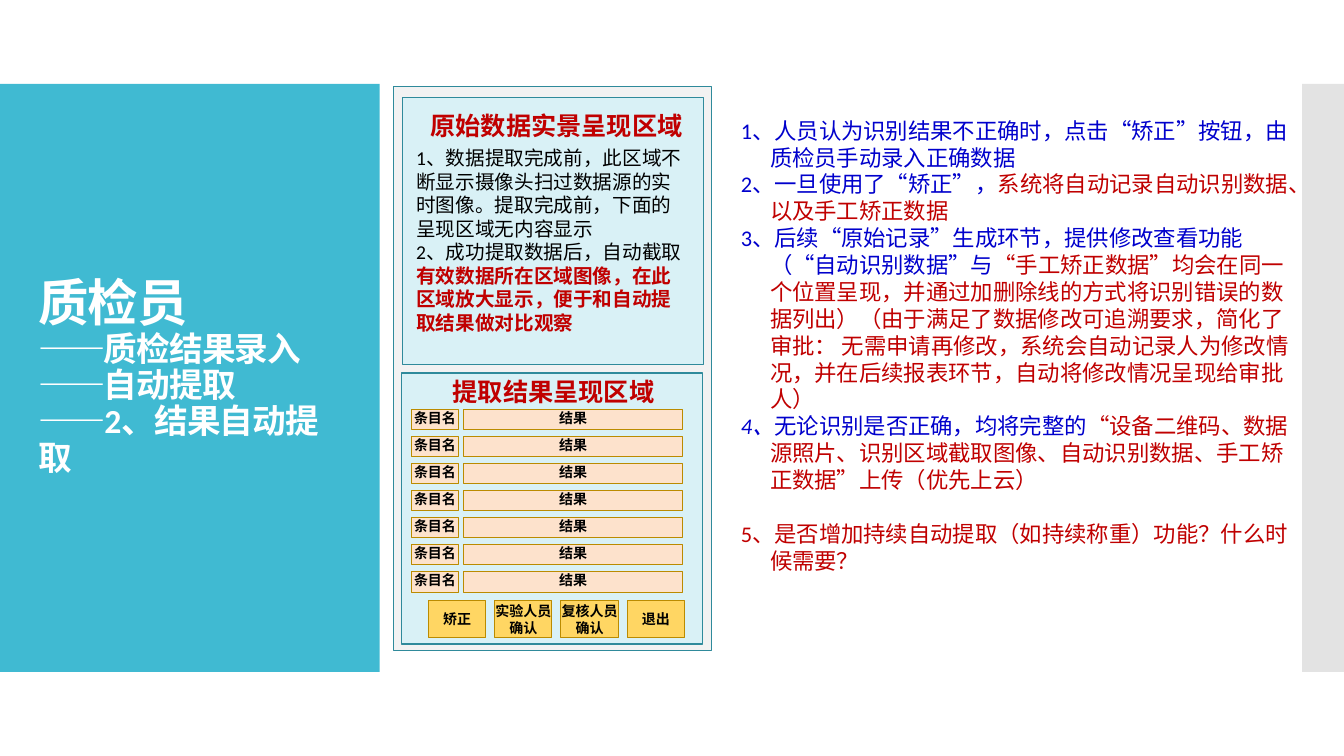
from dataclasses import dataclass

from lxml.etree import SubElement
from pptx import Presentation
from pptx.dml.color import RGBColor
from pptx.enum.shapes import MSO_SHAPE as Preset
from pptx.enum.text import MSO_ANCHOR as Anchor, PP_ALIGN as Align
from pptx.oxml.ns import qn
from pptx.util import Inches, Pt

FONT = "Calibri"
COLORS = {
    "teal": "40BAD2", "grey": "C8C8C8", "white": "FFFFFF", "black": "000000",
    "screen": "F2F2F2", "panel": "D9F1F6", "panel_line": "2F8A9B",
    "field": "FDE2CC", "button": "FFD663", "gold_line": "BB8B00",
    "red": "C00000", "blue": "0000CC",
}
TITLE = "质检员"
SUBTITLES = ["——质检结果录入", "——自动提取", "——2、结果自动提取"]
CAPTURE_TEXT = [
    [("1、数据提取完成前，此区域不断显示摄像头扫过数据源的实时图像。提取完成前，下面的呈现区域无内容显示", "black")],
    [("2、成功提取数据后，自动截取", "black"),
     ("有效数据所在区域图像，在此区域放大显示，便于和自动提取结果做对比观察", "red")],
]
NOTES = [
    [("1、人员认为识别结果不正确时，点击“矫正”按钮，由质检员手动录入正确数据", "blue")],
    [("2、一旦使用了“矫正”，", "blue"), ("系统将自动记录自动识别数据、以及手工矫正数据", "red")],
    [("3、后续“原始记录”生成环节，提供修改查看功能（“自动识别数据”与", "blue"),
     ("“手工矫正数据”均会在同一个位置呈现，并通过加删除线的方式将识别错误的数据列出）"
      "（由于满足了数据修改可追溯要求，简化了审批： 无需申请再修改，系统会自动记录人为修改情况，"
      "并在后续报表环节，自动将修改情况呈现给审批人）", "red")],
    [("4、", "blue"), ("无论识别是否正确，均将完整的", "blue"),
     ("“设备二维码、数据源照片、识别区域截取图像、自动识别数据、手工矫正数据”上传（优先上云）", "red")],
    [("5、是否增加持续自动提取（如持续称重）功能？什么时候需要？", "red")],
]
BUTTONS = ["矫正", "实验人员确认", "复核人员确认", "退出"]
ROW_COUNT = 7


@dataclass
class Box:
    left: float
    top: float
    width: float
    height: float

    def share(self, left, top, width, height):
        """Return the box at the given percentages of this one."""
        return Box(self.left + self.width * left / 100, self.top + self.height * top / 100,
                   self.width * width / 100, self.height * height / 100)

    def lengths(self):
        return [Inches(n) for n in (self.left, self.top, self.width, self.height)]


def color(name):
    return RGBColor.from_string(COLORS[name])


def add_rectangle(slide, box, fill, line=None, line_width=0.85):
    shape = slide.shapes.add_shape(Preset.RECTANGLE, *box.lengths())
    shape.shadow.inherit = False
    shape.fill.solid()
    shape.fill.fore_color.rgb = color(fill)
    if line:
        shape.line.color.rgb = color(line)
        shape.line.width = Pt(line_width)
    else:
        shape.line.fill.background()
    return shape


def add_text_box(slide, box, anchor=Anchor.TOP):
    frame = slide.shapes.add_textbox(*box.lengths()).text_frame
    frame.word_wrap = True
    frame.vertical_anchor = anchor
    return frame


def set_font(font, size, name, bold=None):
    font.name, font.size, font.bold = FONT, Pt(size), bold
    font.color.rgb = color(name)


def add_run(paragraph, text, name):
    run = paragraph.add_run()
    run.text = text
    run.font.color.rgb = color(name)
    return run


def write_paragraphs(frame, texts, size):
    for index, pieces in enumerate(texts):
        paragraph = frame.add_paragraph() if index else frame.paragraphs[0]
        set_font(paragraph.font, size, pieces[0][1])
        for text, name in pieces:
            add_run(paragraph, text, name)
    return frame.paragraphs


def add_heading(slide, box, text):
    paragraph = add_text_box(slide, box).paragraphs[0]
    paragraph.text = text
    paragraph.alignment = Align.CENTER
    set_font(paragraph.font, 18, "red", True)


def add_label(slide, box, text, fill, anchor):
    frame = add_rectangle(slide, box, fill, "gold_line", 0.75).text_frame
    frame.margin_left = frame.margin_right = frame.margin_top = frame.margin_bottom = 0
    frame.word_wrap = True
    frame.vertical_anchor = anchor
    paragraph = frame.paragraphs[0]
    paragraph.text = text
    paragraph.alignment = Align.CENTER
    set_font(paragraph.font, 10, "black", True)


def add_bands(slide, box):
    add_rectangle(slide, box.share(0, 0, 28.25, 100), "teal")
    edge = add_rectangle(slide, box.share(96.88, 0, 3.12, 100), "grey")
    tint = edge._element.spPr.find(qn("a:solidFill"))[0]
    SubElement(tint, qn("a:alpha"), val="50000")


def add_title(slide, box):
    paragraph = add_text_box(slide, box, Anchor.MIDDLE).paragraphs[0]
    paragraph.line_spacing = 0.9
    set_font(paragraph.font, 24, "white", True)
    add_run(paragraph, TITLE, "white").font.size = Pt(36)
    for subtitle in SUBTITLES:
        paragraph.add_line_break()
        add_run(paragraph, subtitle, "white")
    for run in paragraph.runs:
        run._r.get_or_add_rPr().set("spc", "-60")


def add_capture_panel(slide, box):
    add_rectangle(slide, box, "panel", "panel_line")
    add_heading(slide, box.share(4.68, 3.02, 92.98, 15.09), "原始数据实景呈现区域")
    frame = add_text_box(slide, box.share(1.34, 16.23, 97.66, 75.09))
    paragraphs = write_paragraphs(frame, CAPTURE_TEXT, 14)
    paragraphs[-1].runs[-1].font.bold = True


def add_result_panel(slide, box):
    add_rectangle(slide, box, "panel", "panel_line")
    add_heading(slide, box.share(4.01, -0.74, 92.98, 14.87), "提取结果呈现区域")
    for row in range(ROW_COUNT):
        top = 13.4 + row * 10
        add_label(slide, box.share(3.34, top, 15.72, 7.43), "条目名", "field", Anchor.TOP)
        add_label(slide, box.share(20.74, top, 72.58, 7.43), "结果", "field", Anchor.TOP)
    for column, text in enumerate(BUTTONS):
        add_label(slide, box.share(9.03 + column * 21.97, 84, 19, 13.75), text, "button", Anchor.MIDDLE)


def add_screen(slide, box):
    add_rectangle(slide, box, "screen", "panel_line")
    add_capture_panel(slide, box.share(2.7, 2.05, 94.92, 47.32))
    add_result_panel(slide, box.share(2.38, 50.8, 94.92, 48.04))


def add_notes(slide, box):
    paragraphs = write_paragraphs(add_text_box(slide, box), NOTES, 16)
    for paragraph in paragraphs:
        properties = paragraph._p.get_or_add_pPr()
        properties.set("marL", str(Inches(0.29)))
        properties.set("indent", str(Inches(-0.29)))
    paragraphs[3].runs[0].font.italic = True
    paragraphs[-1].space_before = Pt(19.3)


def main():
    presentation = Presentation()
    page = Box(0, 0, 13.33, 7.5)
    presentation.slide_width, presentation.slide_height = page.lengths()[2:]
    slide = presentation.slides.add_slide(presentation.slide_layouts[6])
    add_bands(slide, page.share(0, 11.11, 100, 77.78))
    add_title(slide, page.share(2.1, 16.4, 24.16, 67.07))
    add_screen(slide, page.share(29.29, 11.4, 23.63, 74.67))
    add_notes(slide, page.share(54.38, 14.8, 42.3, 62.4))
    presentation.save("out.pptx")


if __name__ == "__main__":
    main()
